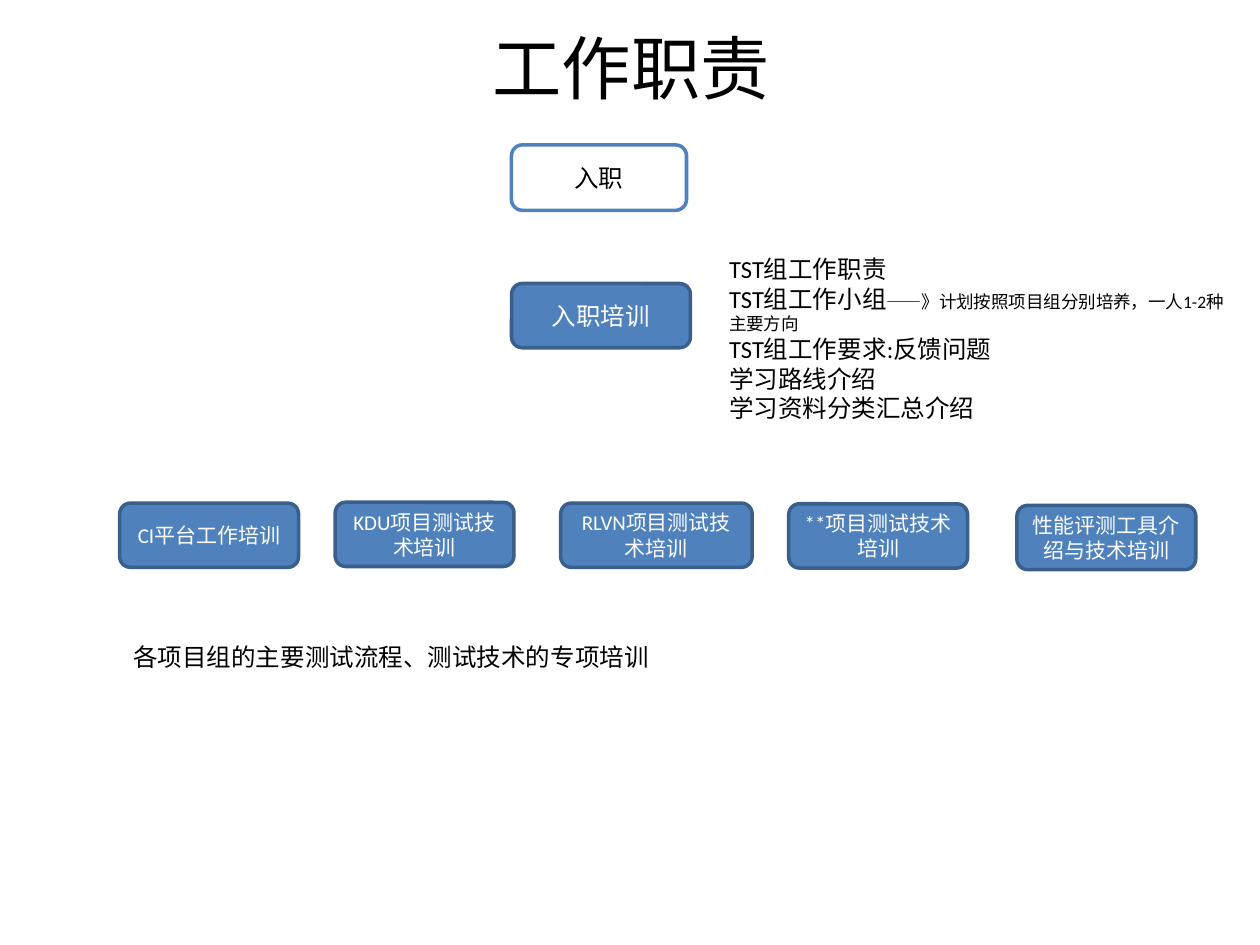
from pptx import Presentation
from pptx.dml.color import RGBColor
from pptx.enum.shapes import MSO_SHAPE
from pptx.enum.text import MSO_ANCHOR, PP_ALIGN
from pptx.util import Pt

BLUE, EDGE, WHITE, BLACK = "4F81BD", "3A5F8C", "FFFFFF", "000000"


def paint(target, color):
    if color is None:
        target.background()
    else:
        target.solid()
        target.fore_color.rgb = RGBColor.from_string(color)


def write(shape, lines, size, color, align=PP_ALIGN.CENTER):
    frame = shape.text_frame
    frame.word_wrap = True
    frame.vertical_anchor = MSO_ANCHOR.MIDDLE
    for i, parts in enumerate(lines):
        para = frame.paragraphs[0] if i == 0 else frame.add_paragraph()
        para.alignment = align
        para.font.name = "Calibri"
        para.font.size = Pt(size)
        paint(para.font.fill, color)
        for text, small in parts:
            run = para.add_run()
            run.text = text
            if small:
                run.font.size = Pt(small)


def title(slide, box, text):
    shape = slide.shapes.add_textbox(*map(Pt, box))
    write(shape, [[(text, None)]], 39.6, BLACK)


def card(slide, box, lines, size=14, fill=BLUE, edge=EDGE, color=WHITE,
         align=PP_ALIGN.CENTER):
    shape = slide.shapes.add_shape(
        MSO_SHAPE.FLOWCHART_ALTERNATE_PROCESS, *map(Pt, box))
    shape.shadow.inherit = False
    paint(shape.fill, fill)
    paint(shape.line.fill, edge)
    shape.line.width = Pt(2)
    write(shape, lines, size, color, align)


def note(slide, box, lines, align):
    card(slide, box, lines, fill=None, edge=WHITE, color=BLACK, align=align)


def entry(slide, box):
    left, top, width, height = box
    card(slide, (left, top, 100, 37.4), [[("入职", None)]],
         fill=WHITE, edge=BLUE, color=BLACK)
    card(slide, (left, top + 79.2, 102.2, 36.7), [[("入职培训", None)]])
    topics = [
        [("TST组工作职责", None)],
        [("TST组工作小组", None),
         ("——》计划按照项目组分别培养，一人1-2种主要方向", 10)],
        [("TST组工作要求:反馈问题", None)],
        [("学习路线介绍", None)],
        [("学习资料分类汇总介绍", None)],
    ]
    note(slide, (left + 112.3, top + 59.8, width - 112.3, height - 59.8),
         topics, PP_ALIGN.LEFT)


def courses(slide, box):
    left, top, width, height = box
    steps = [
        (0, 0, 102.2, "CI平台工作培训"),
        (123.1, -0.5, 102.2, "KDU项目测试技术培训"),
        (252, 0, 109.4, "RLVN项目测试技术培训"),
        (382.3, 0.4, 102.2, "**项目测试技术培训"),
        (width - 102.2, 1.3, 102.2, "性能评测工具介绍与技术培训"),
    ]
    for dx, dy, wide, text in steps:
        card(slide, (left + dx, top + dy, wide, height),
             [[(text, None)]], size=12)


deck = Presentation()
deck.slide_width, deck.slide_height = Pt(720), Pt(540)
page = deck.slides.add_slide(deck.slide_layouts[6])
title(page, (36.7, 9.4, 648, 56.9), "工作职责")
entry(page, (292.3, 82.8, 419, 161.3))
courses(page, (68.4, 287.5, 614.9, 36.7))
note(page, (25.2, 349.2, 396.7, 52.6),
     [[("各项目组的主要测试流程、测试技术的专项培训", None)]], PP_ALIGN.CENTER)
deck.save("out.pptx")
